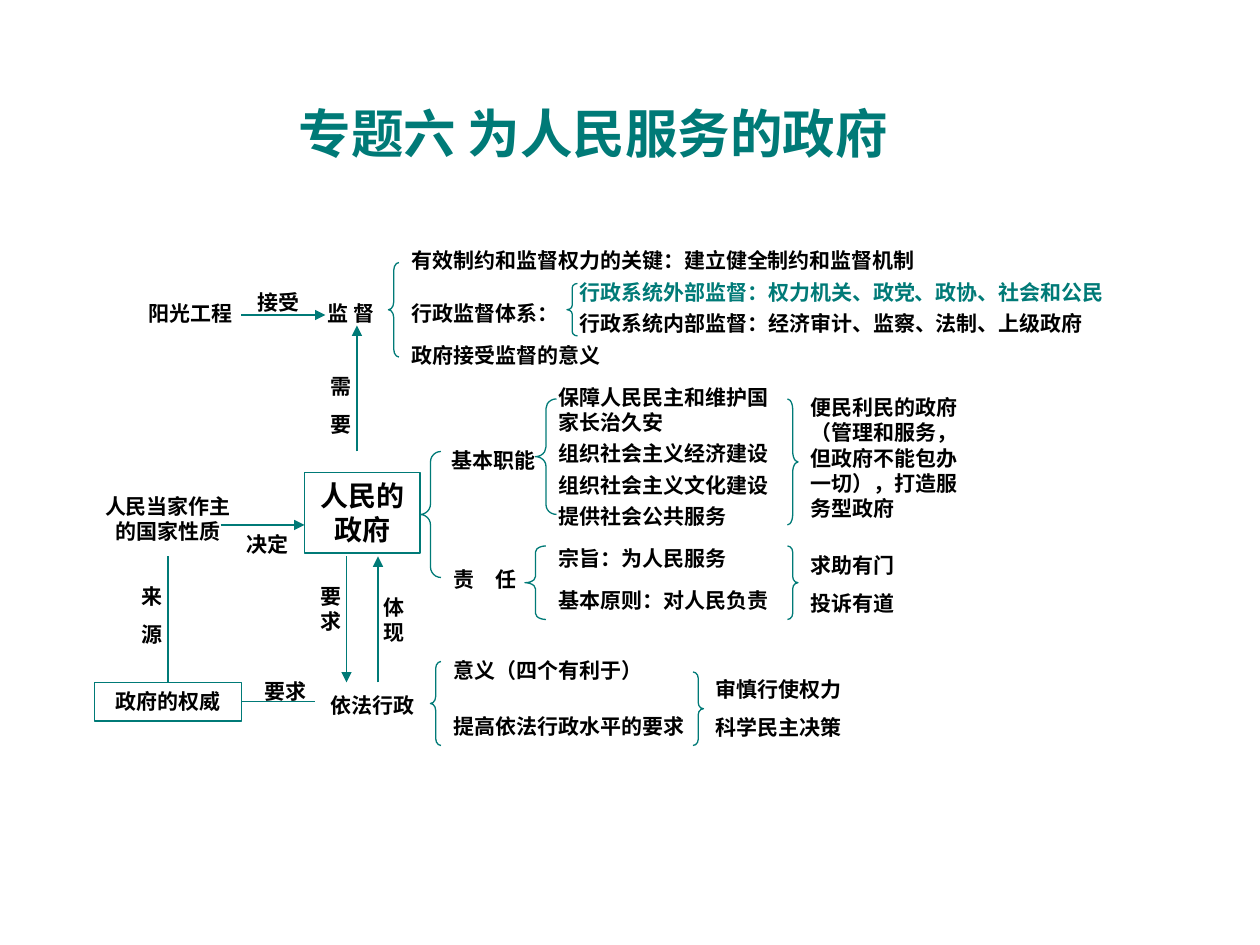
import dataclasses

import lxml.etree
import pptx
import pptx.dml.color
import pptx.enum.shapes
import pptx.enum.text
import pptx.oxml.ns
import pptx.util

Pt = pptx.util.Pt
SHAPE = pptx.enum.shapes.MSO_SHAPE
LEFT, CENTER = pptx.enum.text.PP_ALIGN.LEFT, pptx.enum.text.PP_ALIGN.CENTER


@dataclasses.dataclass(frozen=True)
class Theme:
    teal = pptx.dml.color.RGBColor(0x00, 0x7A, 0x77)
    black = pptx.dml.color.RGBColor(0, 0, 0)
    heading_font = "Arial"
    text_font = "Times New Roman"
    title_size = 30
    core_size = 16
    text_size = 12
    line_width = 0.75
    paragraph_gap = 7.5


theme = Theme()


def write(frame, lines, align, size=theme.text_size, face=theme.text_font, color=theme.black):
    frame.word_wrap = True
    frame.auto_size = pptx.enum.text.MSO_AUTO_SIZE.SHAPE_TO_FIT_TEXT
    frame.vertical_anchor = pptx.enum.text.MSO_ANCHOR.TOP
    for index, line in enumerate(lines):
        paragraph = frame.add_paragraph() if index else frame.paragraphs[0]
        paragraph.text = line
        paragraph.alignment = align
        if index:
            paragraph.space_before = Pt(theme.paragraph_gap)
        paragraph.font.size = Pt(size)
        paragraph.font.name = face
        paragraph.font.bold = True
        paragraph.font.color.rgb = color


def outline(kind, left, top, width, height):
    figure = slide.shapes.add_shape(kind, Pt(left), Pt(top), Pt(width), Pt(height))
    figure.shadow.inherit = False
    figure.fill.background()
    figure.line.color.rgb = theme.teal
    figure.line.width = Pt(theme.line_width)
    return figure


presentation = pptx.Presentation()
presentation.slide_width, presentation.slide_height = Pt(720), Pt(540)
slide = presentation.slides.add_slide(presentation.slide_layouts[5])

# Title
heading = slide.shapes.title
heading.left, heading.top, heading.width, heading.height = Pt(144), Pt(54), Pt(390), Pt(43.2)
write(heading.text_frame, ["专题六 为人民服务的政府"], CENTER,
      theme.title_size, theme.heading_font, theme.teal)

# Boxed concepts
government = outline(SHAPE.RECTANGLE, 174, 270, 66, 46)
write(government.text_frame, ["人民的政府"], CENTER, theme.core_size)
authority = outline(SHAPE.RECTANGLE, 54, 390, 84, 22)
write(authority.text_frame, ["政府的权威"], CENTER)

# Braces: left, top, width, height
braces = {
    SHAPE.LEFT_BRACE: [
        (222, 150, 6, 54), (324, 162, 6, 30),      # supervision
        (240, 258, 12, 72), (306, 228, 12, 66),    # government, functions
        (300, 312, 12, 42), (246, 378, 6, 48),     # duties, rule of law
    ],
    SHAPE.RIGHT_BRACE: [(450, 228, 6, 72), (450, 312, 6, 42), (396, 384, 6, 42)],
}
for kind, places in braces.items():
    for left, top, width, height in places:
        brace = outline(kind, left, top, width, height)
        brace.adjustments[0] = height / width / 12

# Links between concepts: start, end, arrowhead, joins
links = [
    ((138, 180), (186, 180), True, None, None),
    ((204, 258), (204, 186), True, None, None),
    ((126, 300), (174, 300), True, None, None),
    ((198, 318), (198, 390), True, None, None),
    ((216, 390), (216, 318), True, None, None),
    ((96, 318), (96, 390), False, None, (authority, 0)),
    ((138, 401), (180, 401), False, (authority, 3), None),
]
for start, end, arrow, begin_join, end_join in links:
    link = slide.shapes.add_connector(
        pptx.enum.shapes.MSO_CONNECTOR.STRAIGHT, *map(Pt, start + end))
    if begin_join:
        link.begin_connect(*begin_join)
    if end_join:
        link.end_connect(*end_join)
    link.line.color.rgb = theme.teal
    link.line.width = Pt(theme.line_width)
    if arrow:
        lxml.etree.SubElement(link.line._get_or_add_ln(),
                              pptx.oxml.ns.qn("a:tailEnd"), type="triangle")
    lxml.etree.SubElement(link._element.spPr, pptx.oxml.ns.qn("a:effectLst"))

# Labels: left, top, width, height, alignment, color, lines
row, pair, wrapped = 21.6, 44, 36
labels = [
    # Supervision
    (78, 168, 66, row, LEFT, theme.black, ["阳光工程"]),
    (132, 162, 54, row, CENTER, theme.black, ["接受"]),
    (180, 168, 48, row, LEFT, theme.black, ["监 督"]),
    (228, 138, 312, row, LEFT, theme.black, ["有效制约和监督权力的关键：建立健全制约和监督机制"]),
    (228, 168, 108, row, LEFT, theme.black, ["行政监督体系："]),
    (324, 156, 318, row, LEFT, theme.teal, ["行政系统外部监督：权力机关、政党、政协、社会和公民"]),
    (324, 174, 312, row, LEFT, theme.black, ["行政系统内部监督：经济审计、监察、法制、上级政府"]),
    (228, 192, 144, row, LEFT, theme.black, ["政府接受监督的意义"]),
    (180, 210, 30, pair, CENTER, theme.black, ["需", "要"]),
    # Functions
    (246, 252, 72, row, CENTER, theme.black, ["基本职能"]),
    (312, 216, 144, wrapped, LEFT, theme.black, ["保障人民民主和维护国家长治久安"]),
    (312, 248.4, 144, row, LEFT, theme.black, ["组织社会主义经济建设"]),
    (312, 266.4, 150, row, LEFT, theme.black, ["组织社会主义文化建设"]),
    (312, 284.4, 138, row, LEFT, theme.black, ["提供社会公共服务"]),
    (456, 222, 108, 79.2, LEFT, theme.black,
     ["便民利民的政府（管理和服务，但政府不能包办一切），打造服务型政府"]),
    # Duties
    (252, 320.4, 60, row, LEFT, theme.black, ["责　任"]),
    (312, 308.4, 132, row, LEFT, theme.black, ["宗旨：为人民服务"]),
    (312, 332.4, 144, row, LEFT, theme.black, ["基本原则：对人民负责"]),
    (456, 312, 78, pair, LEFT, theme.black, ["求助有门", "投诉有道"]),
    # Source of authority
    (48, 278.4, 96, wrapped, CENTER, theme.black, ["人民当家作主的国家性质"]),
    (126, 300, 54, row, CENTER, theme.black, ["决定"]),
    (72, 330, 30, pair, CENTER, theme.black, ["来", "源"]),
    (144, 384, 48, row, LEFT, theme.black, ["要求"]),
    # Rule of law
    (174, 330, 30, wrapped, CENTER, theme.black, ["要 求"]),
    (210, 336, 30, wrapped, CENTER, theme.black, ["体现"]),
    (174, 392.4, 78, row, CENTER, theme.black, ["依法行政"]),
    (252, 372, 144, row, LEFT, theme.black, ["意义（四个有利于）"]),
    (252, 404.4, 162, row, LEFT, theme.black, ["提高依法行政水平的要求"]),
    (402, 383, 96, pair, LEFT, theme.black, ["审慎行使权力", "科学民主决策"]),
]
for left, top, width, height, align, color, lines in labels:
    label = slide.shapes.add_textbox(Pt(left), Pt(top), Pt(width), Pt(height))
    face = theme.heading_font if color == theme.teal else theme.text_font
    write(label.text_frame, lines, align, face=face, color=color)

presentation.save("out.pptx")
